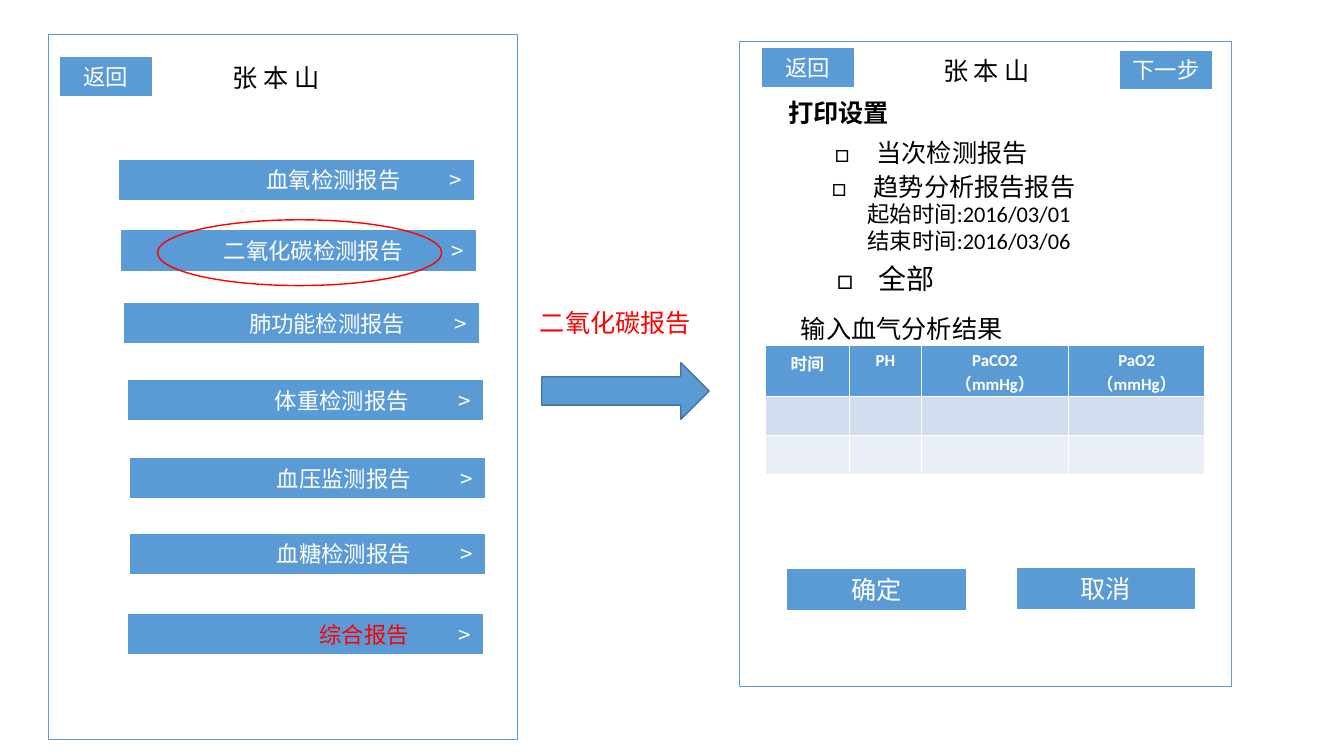
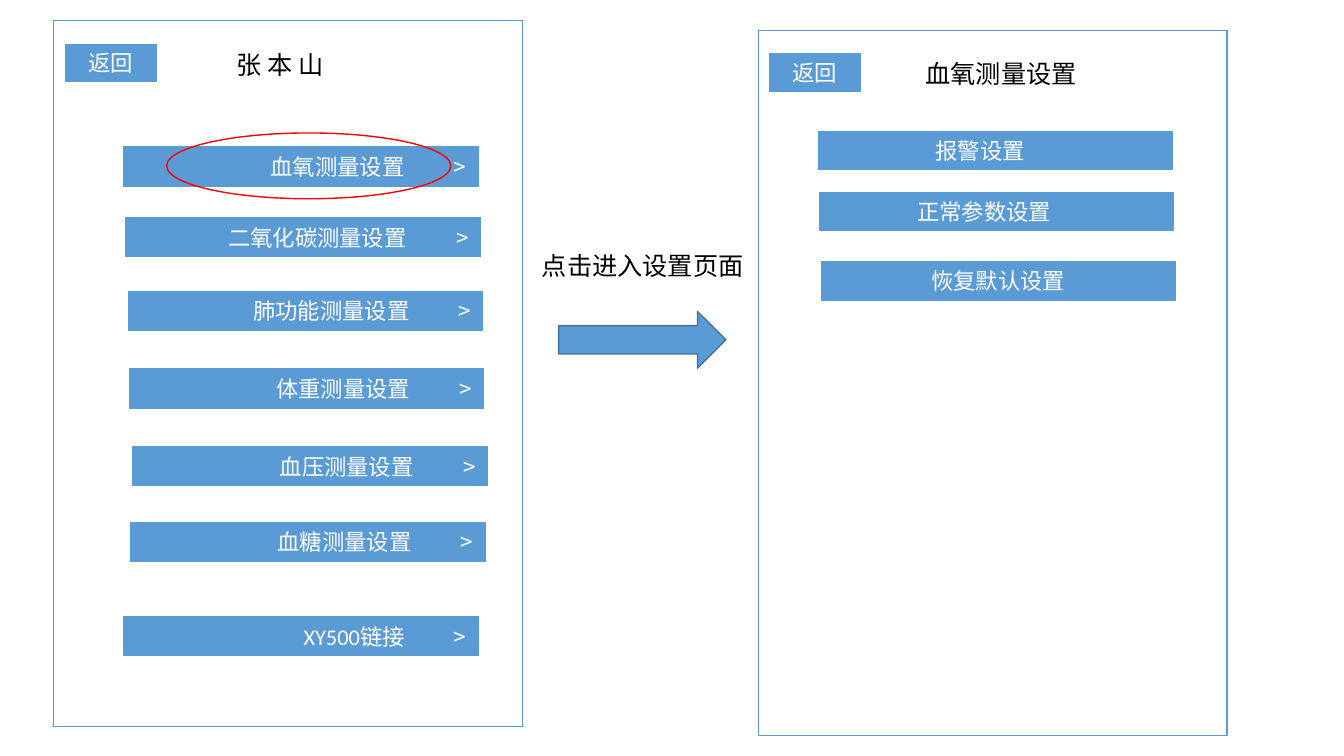
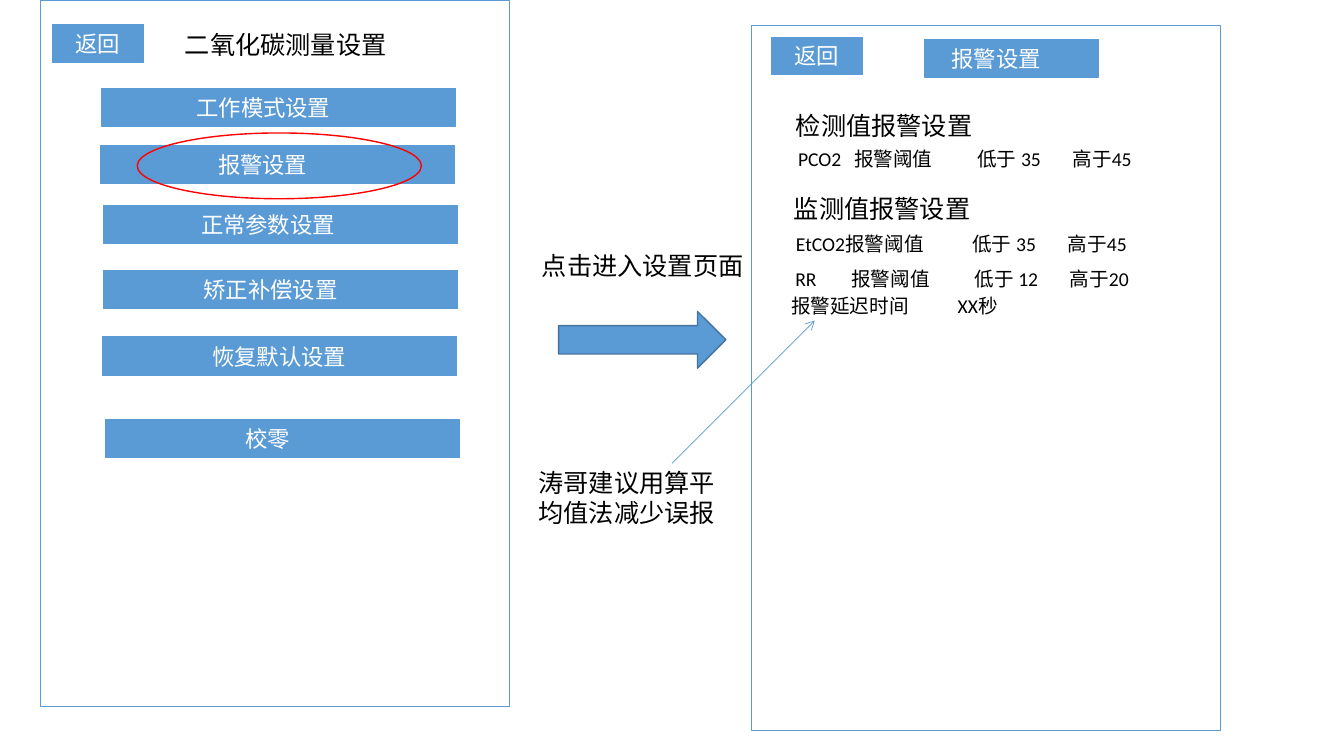
"""Build three slides of handheld-screen mockups for reports and measurement settings."""
from dataclasses import dataclass

from lxml import etree
from pptx import Presentation
from pptx.dml.color import RGBColor
from pptx.enum.shapes import MSO_CONNECTOR, MSO_SHAPE
from pptx.enum.text import MSO_ANCHOR, PP_ALIGN
from pptx.oxml.ns import qn
from pptx.util import Pt

RECT, OVAL, ARROW = MSO_SHAPE.RECTANGLE, MSO_SHAPE.OVAL, MSO_SHAPE.RIGHT_ARROW
LEFT, CENTER = PP_ALIGN.LEFT, PP_ALIGN.CENTER
TOP, MIDDLE = MSO_ANCHOR.TOP, MSO_ANCHOR.MIDDLE
STRAIGHT = MSO_CONNECTOR.STRAIGHT


@dataclass(frozen=True)
class Theme:
    blue: str = "5B9BD5"
    dark_blue: str = "43739E"
    band: str = "D2DEEF"
    pale_band: str = "EAEFF7"
    red: str = "FF0000"
    white: str = "FFFFFF"
    black: str = "000000"
    font: str = "Calibri"
    cjk_font: str = "Noto Sans CJK SC"
    large: int = 20
    title: int = 18
    button: int = 16
    detail: int = 14
    table: int = 12


theme = Theme()


def style(frame, size, color, align=LEFT, bold=False, stops=(), asian=theme.font):
    """Format every paragraph of a text frame and set its tab stops."""
    for paragraph in frame.paragraphs:
        paragraph.alignment = align
        if stops:
            tabs = etree.SubElement(paragraph._p.get_or_add_pPr(), qn("a:tabLst"))
            for position, side in stops:
                etree.SubElement(tabs, qn("a:tab"), pos=str(Pt(position)), algn=side)
        for run in paragraph.runs:
            run.font.size, run.font.bold, run.font.name = Pt(size), bold, theme.font
            run.font.color.rgb = RGBColor.from_string(color)
            etree.SubElement(run._r.get_or_add_rPr(), qn("a:ea"), typeface=asian)


def add_part(slide, kind, at, fill=None, line=None, weight=0.75, text="", pad=0,
             size=theme.title, color=theme.black, **look):
    """Add a preset shape, or a text box when kind is None."""
    box = [Pt(length) for length in at]
    if kind is None:
        part = slide.shapes.add_textbox(*box)
    else:
        part = slide.shapes.add_shape(kind, *box)
        part.shadow.inherit = False
    if fill:
        part.fill.solid()
        part.fill.fore_color.rgb = RGBColor.from_string(fill)
    else:
        part.fill.background()
    if line:
        part.line.color.rgb = RGBColor.from_string(line)
        part.line.width = Pt(weight)
    if text:
        frame = part.text_frame
        frame.text, frame.word_wrap = text, True
        frame.vertical_anchor = TOP if kind is None else MIDDLE
        frame.margin_right = Pt(7.2 + pad)
        style(frame, size, color, **look)
    return part


deck = Presentation()
deck.slide_width, deck.slide_height = Pt(960), Pt(540)
reports, settings, alarms = [deck.slides.add_slide(deck.slide_layouts[6]) for _ in range(3)]

screens = [
    (reports, 34.5, 24.5, 335, 504, None),
    (reports, 528, 29.5, 351.5, 461, theme.white),
    (settings, 38, 15, 335, 504, None),
    (settings, 541.5, 21.5, 335, 504, None),
    (alarms, 29, 0.5, 335, 504, None),
    (alarms, 537, 18, 335, 504, None),
]
for slide, left, top, width, height, fill in screens:
    add_part(slide, RECT, (left, top, width, height), fill, theme.blue)

for slide, left, top in [(reports, 387, 259), (settings, 399, 222.5), (alarms, 399, 222.5)]:
    add_part(slide, ARROW, (left, top, 119.5, 40.5), theme.blue, theme.dark_blue, 1)

menus = [
    (reports, [
        ("血氧检测报告", 85.5, 114.5), ("二氧化碳检测报告", 87, 165),
        ("肺功能检测报告", 89, 217), ("体重检测报告", 91.5, 272),
        ("血压监测报告", 93, 327.5), ("血糖检测报告", 93, 381.5),
        ("综合报告", 91.5, 439),
    ]),
    (settings, [
        ("血氧测量设置", 88.5, 105), ("二氧化碳测量设置", 90, 155.5),
        ("肺功能测量设置", 92, 208), ("体重测量设置", 92.5, 263.5),
        ("血压测量设置", 95, 319), ("血糖测量设置", 93.5, 373),
        ("XY500链接", 88.5, 440.5),
    ]),
]
menu_stops = [(193.5, "r"), (237.5, "r")]
for slide, entries in menus:
    for label, left, top in entries:
        entry = add_part(slide, RECT, (left, top, 253, 28), theme.blue, theme.blue,
                         text=f"\t{label}\t", size=theme.button, stops=menu_stops,
                         color=theme.red if label == "综合报告" else theme.white)
        chevron = entry.text_frame.paragraphs[0].add_run()
        chevron.text = ">"
        chevron.font.size, chevron.font.name = Pt(theme.button), theme.cjk_font
        chevron.font.color.rgb = RGBColor.from_string(theme.white)

buttons = [
    (reports, "返回", 43, 41, 65, 27, 0, theme.button),
    (reports, "返回", 544.5, 34.5, 65, 27, 0, theme.button),
    (reports, "下一步", 800.5, 36.5, 65, 27, 0, theme.button),
    (reports, "确定", 562.5, 407, 127, 28.5, 0, theme.title),
    (reports, "取消", 726.5, 406, 127, 28.5, 0, theme.title),
    (settings, "返回", 46.5, 31.5, 65, 27, 0, theme.button),
    (settings, "返回", 549.5, 38, 65, 27, 0, theme.button),
    (settings, "报警设置", 584.5, 94, 253, 27, 21.6, theme.button),
    (settings, "正常参数设置", 585.5, 137.5, 253, 27, 18, theme.button),
    (settings, "恢复默认设置", 586.5, 186.5, 253, 28, 0, theme.button),
    (alarms, "返回", 37.5, 17.5, 65, 27, 0, theme.button),
    (alarms, "工作模式设置", 72.5, 63, 253, 27, 21.6, theme.button),
    (alarms, "报警设置", 72, 104, 253, 27, 21.6, theme.button),
    (alarms, "正常参数设置", 74, 147, 253, 27, 18, theme.button),
    (alarms, "矫正补偿设置", 74, 193.5, 253, 27, 14.4, theme.button),
    (alarms, "恢复默认设置", 73, 240.5, 253, 28, 0, theme.button),
    (alarms, "校零", 75.5, 300, 253, 27, 21.6, theme.button),
    (alarms, "返回", 551, 26.5, 65, 27, 0, theme.button),
    (alarms, "报警设置", 660.5, 28, 124, 27, 21.6, theme.button),
]
for slide, label, left, top, width, height, pad, size in buttons:
    add_part(slide, RECT, (left, top, width, height), theme.blue, theme.blue,
             text=label, pad=pad, size=size, color=theme.white, align=CENTER)

for slide, left, top in [(reports, 112.5, 157), (settings, 119, 95), (alarms, 98, 95)]:
    add_part(slide, OVAL, (left, top, 203, 47), line=theme.red, weight=1)

captions = [
    (reports, "张 本 山", 159, 41, 84),
    (reports, "张 本 山", 666.5, 36, 84),
    (reports, "输入血气分析结果", 565, 220.5, 256),
    (settings, "张 本 山", 162, 31.5, 84),
    (settings, "血氧测量设置", 654, 38, 132),
    (settings, "点击进入设置页面", 380, 175, 164),
    (alarms, "点击进入设置页面", 380, 175, 164),
    (alarms, "二氧化碳测量设置", 125, 17.5, 203),
    (alarms, "检测值报警设置", 561.5, 75, 169),
    (alarms, "监测值报警设置", 560, 134.5, 169),
    (alarms, "涛哥建议用算平均值法减少误报", 377.5, 330, 153.5),
]
for slide, text, left, top, width in captions:
    add_part(slide, None, (left, top, width, 29), text=text)

add_part(reports, None, (378.5, 216, 132, 29), text="二氧化碳报告", color=theme.red)
add_part(reports, None, (556, 66, 94, 29), text="打印设置", bold=True)
add_part(reports, None, (612.5, 139.5, 250, 45.5), size=theme.button,
         text="起始时间:2016/03/01\n结束时间:2016/03/06")

print_options = [
    ("当次检测报告", 589, 94.5, theme.title),
    ("趋势分析报告报告", 587, 119, theme.title),
    ("全部", 590.5, 183, theme.large),
]
for label, left, top, size in print_options:
    add_part(reports, None, (left, top, 256, 30), text=f"□\t{label}", size=size,
             stops=[(30, "l")])

blood_gas = reports.shapes.add_table(3, 4, Pt(546.5), Pt(247), Pt(314), Pt(92)).table
for column, width in zip(blood_gas.columns, (60.5, 51, 105.5, 97)):
    column.width = Pt(width)
for row, height in zip(blood_gas.rows, (36, 28, 28)):
    row.height = Pt(height)
headers = ["时间", "PH", "PaCO2\n（mmHg）", "PaO2\n（mmHg）"]
for row, fill in zip(blood_gas.rows, (theme.blue, theme.band, theme.pale_band)):
    for cell in row.cells:
        cell.margin_bottom = 0
        cell.fill.solid()
        cell.fill.fore_color.rgb = RGBColor.from_string(fill)
for cell, header in zip(blood_gas.rows[0].cells, headers):
    cell.text_frame.text = header
    style(cell.text_frame, theme.table, theme.white, CENTER, True, asian=theme.cjk_font)

thresholds = [
    ("PCO2\t报警阈值\t低于 35\t高于45", 563, 101.5, (40, 128, 196)),
    ("EtCO2报警阈值\t低于 35\t高于45", 561.5, 162, (126, 194)),
    ("RR\t报警阈值\t低于 12\t高于20", 561, 187, (40, 128, 196)),
    ("报警延迟时间\tXX秒", 558, 206.5, (119,)),
]
for text, left, top, positions in thresholds:
    add_part(alarms, None, (left, top, 302, 24), text=text, size=theme.detail,
             stops=[(position, "l") for position in positions])

pointer = alarms.shapes.add_connector(STRAIGHT, Pt(480), Pt(331), Pt(582), Pt(229))
pointer.line.color.rgb = RGBColor.from_string(theme.blue)
pointer.line.width = Pt(0.5)
etree.SubElement(pointer.line._get_or_add_ln(), qn("a:tailEnd"), type="arrow")
etree.SubElement(pointer._element.spPr, qn("a:effectLst"))

deck.save("out.pptx")
